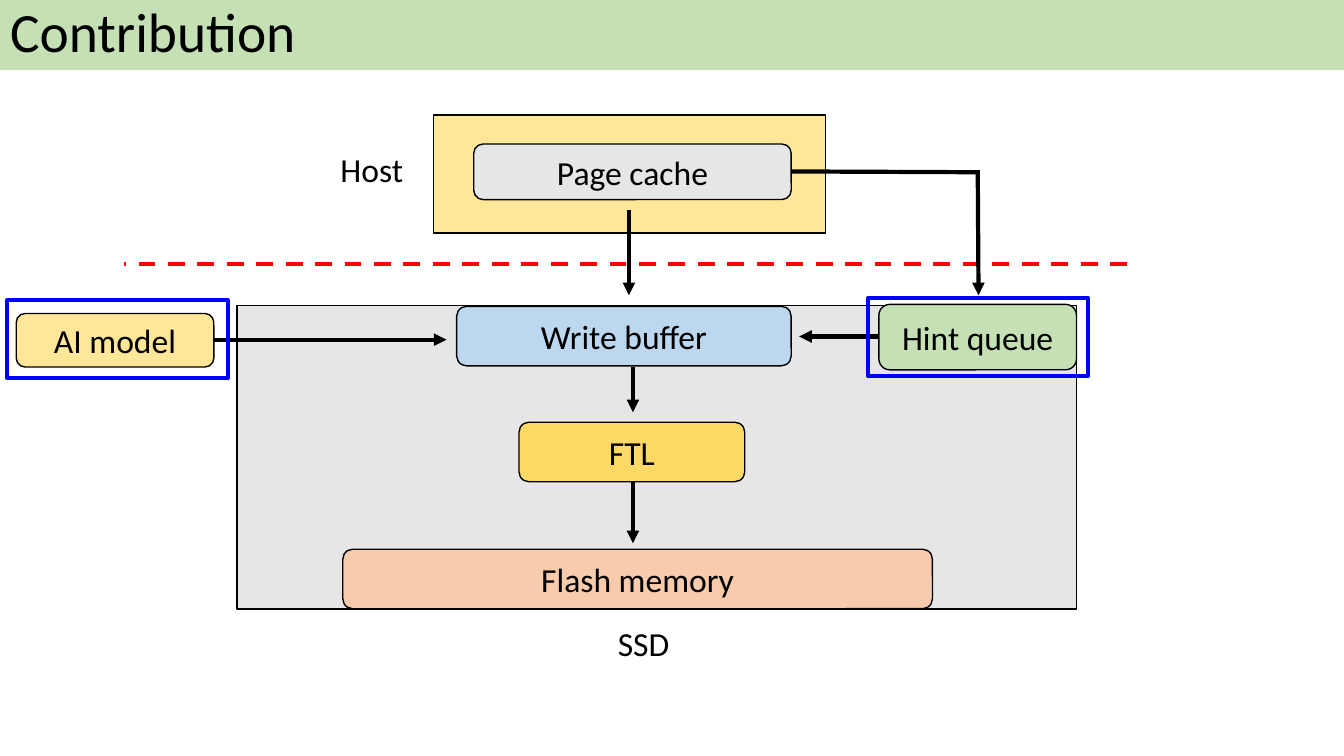
"""Builds the Contribution slide: the data path from host page cache to SSD flash memory."""
from dataclasses import dataclass
from typing import Any, Optional

from lxml.etree import SubElement
from pptx import Presentation
from pptx.dml.color import RGBColor
from pptx.enum.dml import MSO_LINE
from pptx.enum.shapes import MSO_CONNECTOR, MSO_SHAPE
from pptx.enum.text import MSO_ANCHOR, MSO_AUTO_SIZE, PP_ALIGN
from pptx.oxml.ns import qn
from pptx.util import Cm, Pt

BLACK, RED, BLUE = "000000", "FF0000", "0000FF"
GREY, GREEN, CREAM = "E7E6E6", "C5E0B4", "FFE699"
LABEL_FONT = {"name": "Calibri", "size": Pt(24)}
TITLE_FONT = {"name": "Calibri", "size": Pt(39.6)}
BOX_FRAME = {"word_wrap": True, "vertical_anchor": MSO_ANCHOR.MIDDLE}
LABEL_FRAME = {"word_wrap": True, "vertical_anchor": MSO_ANCHOR.TOP}
TITLE_FRAME = {**BOX_FRAME, "auto_size": MSO_AUTO_SIZE.NONE}


@dataclass
class Box:
    left: float
    top: float
    width: float
    height: float
    fill: Optional[str] = None
    text: str = ""
    line: str = BLACK
    weight: float = 1


@dataclass
class Link:
    x1: float
    y1: float
    x2: float
    y2: float
    color: str = BLACK
    arrow: bool = True
    dashed: bool = False


def rgb(color: str) -> RGBColor:
    return RGBColor.from_string(color)


def apply(target: Any, values: dict) -> None:
    for name, value in values.items():
        setattr(target, name, value)


def write(shape: Any, text: str, font: dict, frame: dict, align: PP_ALIGN) -> None:
    apply(shape.text_frame, frame)
    shape.text_frame.text = text
    paragraph = shape.text_frame.paragraphs[0]
    paragraph.alignment = align
    apply(paragraph.runs[0].font, font)
    paragraph.runs[0].font.color.rgb = rgb(BLACK)


def draw_box(shapes: Any, box: Box) -> None:
    kind = MSO_SHAPE.ROUNDED_RECTANGLE if box.text else MSO_SHAPE.RECTANGLE
    shape = shapes.add_shape(kind, Cm(box.left), Cm(box.top), Cm(box.width), Cm(box.height))
    shape.shadow.inherit = False
    if box.fill:
        shape.fill.solid()
        shape.fill.fore_color.rgb = rgb(box.fill)
    else:
        shape.fill.background()
    shape.line.color.rgb = rgb(box.line)
    shape.line.width = Pt(box.weight)
    if box.text:
        write(shape, box.text, LABEL_FONT, BOX_FRAME, PP_ALIGN.CENTER)


def draw_link(shapes: Any, link: Link) -> None:
    connector = shapes.add_connector(
        MSO_CONNECTOR.STRAIGHT, Cm(link.x1), Cm(link.y1), Cm(link.x2), Cm(link.y2))
    connector.line.color.rgb = rgb(link.color)
    connector.line.width = Pt(3)
    if link.dashed:
        connector.line.dash_style = MSO_LINE.DASH
    if link.arrow:
        SubElement(connector.line._get_or_add_ln(), qn("a:tailEnd"), type="triangle")
    SubElement(connector._element.spPr, qn("a:effectLst"))


def draw_label(shapes: Any, left: float, top: float, text: str) -> None:
    label = shapes.add_textbox(Cm(left), Cm(top), Cm(2.34), Cm(1.27))
    write(label, text, LABEL_FONT, LABEL_FRAME, PP_ALIGN.LEFT)


def draw_title(title: Any, text: str) -> None:
    apply(title, {"left": Cm(0), "top": Cm(-0.03), "width": Cm(33.87), "height": Cm(1.8)})
    title.fill.solid()
    title.fill.fore_color.rgb = rgb(GREEN)
    write(title, text, TITLE_FONT, TITLE_FRAME, PP_ALIGN.LEFT)
    title.text_frame.paragraphs[0].line_spacing = 0.9


HOST_AND_BUS = [
    Box(10.92, 2.9, 9.88, 2.97, CREAM),
    Box(11.94, 3.63, 8, 1.4, GREY, "Page cache"),
    Link(28.4, 6.65, 3.12, 6.65, RED, arrow=False, dashed=True),
]
SSD_PARTS = [
    Box(5.97, 7.7, 21.16, 7.65, GREY),
    Box(22.15, 7.67, 4.98, 1.65, GREEN, "Hint queue"),
    Box(11.51, 7.72, 8.43, 1.5, "BDD7EE", "Write buffer"),
    Box(0.41, 7.9, 4.98, 1.35, CREAM, "AI model"),
    Box(8.64, 13.84, 14.86, 1.5, "F8CBAD", "Flash memory"),
    Box(13.08, 10.64, 5.69, 1.5, "FFD966", "FTL"),
]
DATA_FLOW = [
    Link(5.38, 8.56, 11.25, 8.56),
    Link(15.85, 5.28, 15.85, 7.44),
    Link(15.95, 9.25, 15.95, 10.39),
    Link(15.95, 12.12, 15.95, 13.69),
    Link(19.94, 4.32, 24.64, 4.34, arrow=False),
    Link(24.64, 4.29, 24.66, 7.44),
    Link(22.15, 8.48, 20.14, 8.48),
]
HIGHLIGHTS = [
    Box(left, top, 5.56, 1.96, line=BLUE, weight=3)
    for left, top in ((0.18, 7.57), (21.87, 7.52))
]

presentation = Presentation()
presentation.slide_width, presentation.slide_height = Cm(33.87), Cm(19.05)
slide = presentation.slides.add_slide(presentation.slide_layouts[5])
draw_title(slide.shapes.title, "Contribution")
for part in HOST_AND_BUS + SSD_PARTS + DATA_FLOW + HIGHLIGHTS:
    draw = draw_box if isinstance(part, Box) else draw_link
    draw(slide.shapes, part)
draw_label(slide.shapes, 8.33, 3.63, "Host")
draw_label(slide.shapes, 15.32, 15.57, "SSD")
presentation.save("out.pptx")
